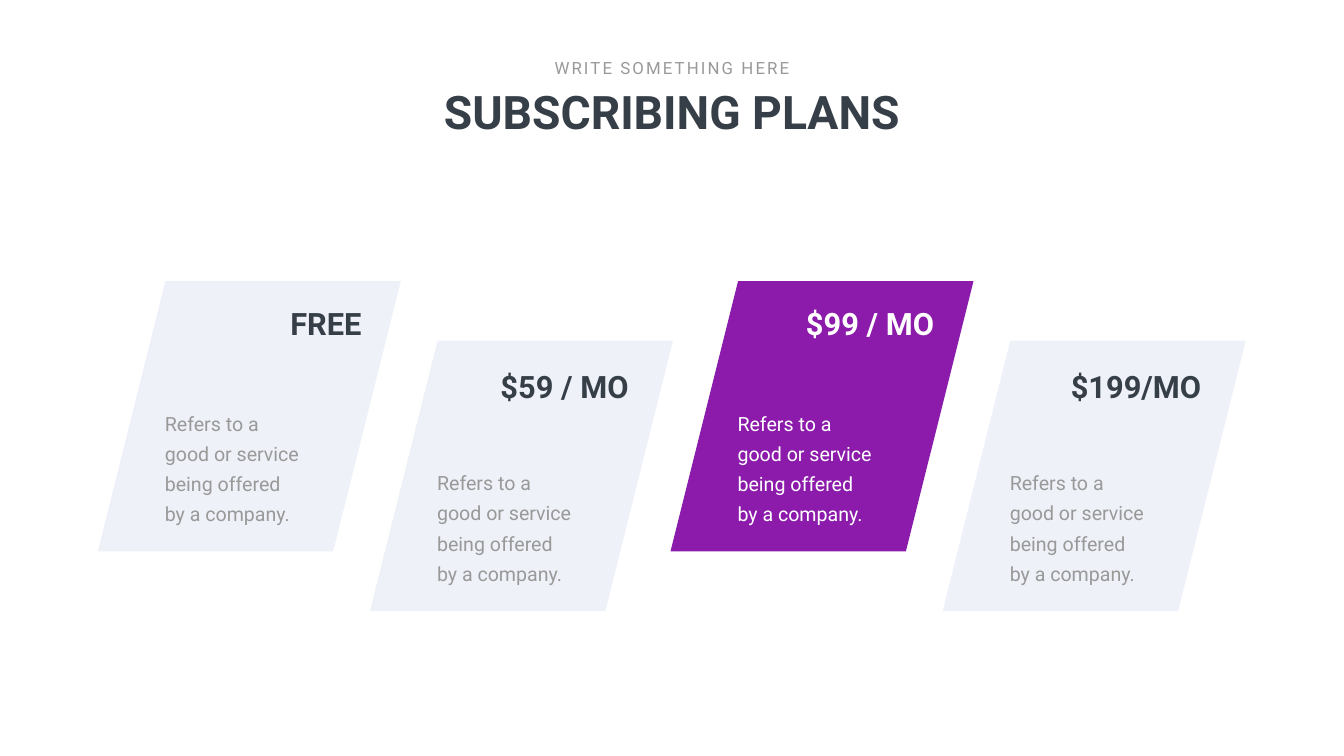
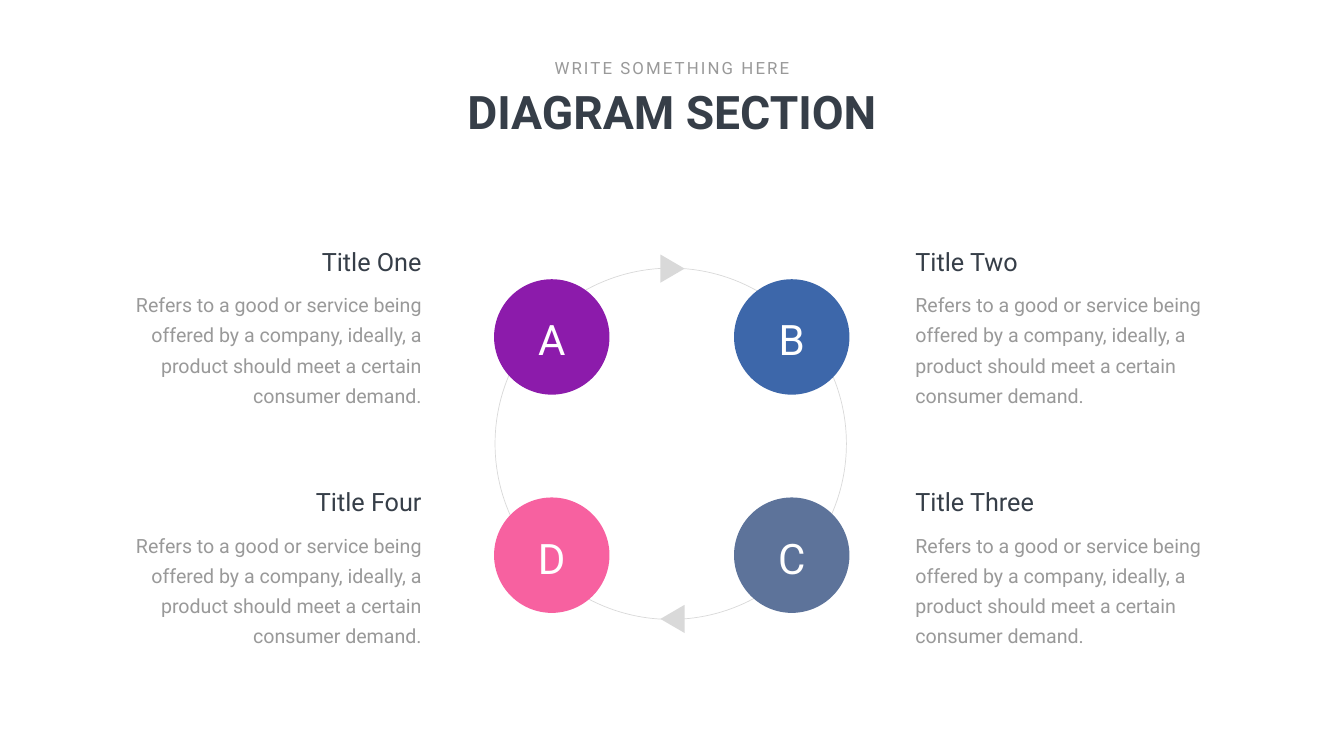
from pptx import Presentation
from pptx.dml.color import RGBColor
from pptx.enum.shapes import MSO_SHAPE as Shape
from pptx.enum.text import MSO_AUTO_SIZE as AutoSize, PP_ALIGN as Align
from pptx.util import Inches, Pt

FONT = "Roboto"
INK = RGBColor(0x36, 0x3E, 0x48)
GREY = RGBColor(0x99, 0x99, 0x99)
LINE_GREY = RGBColor(0xD9, 0xD9, 0xD9)
PALE = RGBColor(0xEF, 0xF1, 0xF8)
WHITE = RGBColor(0xFF, 0xFF, 0xFF)
PURPLE = RGBColor(0x8C, 0x1B, 0xAB)
BLUE = RGBColor(0x3D, 0x67, 0xAA)
SLATE = RGBColor(0x5D, 0x73, 0x9A)
PINK = RGBColor(0xF7, 0x61, 0xA0)

SLIDE_WIDTH, SLIDE_HEIGHT = 26.66, 15
BODY_SIZE, BODY_LEADING = 28, 43
DISC_SIZE = 2.29

PLAN_TEXT = "Refers to a good or service being offered by a company."
STEP_TEXT = ("Refers to a good or service being offered by a company, ideally, "
             "a product should meet a certain consumer demand.")


def add_text(slide, text, left, top, width, height, size, color,
             align=Align.LEFT, bold=False, leading=None, spacing=None,
             wrap=True, insets=(0.1, 0.05)):
    """Add a one-paragraph box; leading and letter spacing are in points."""
    box = slide.shapes.add_textbox(
        Inches(left), Inches(top), Inches(width), Inches(height))
    frame = box.text_frame
    frame.word_wrap = wrap
    frame.auto_size = AutoSize.SHAPE_TO_FIT_TEXT
    frame.margin_left = frame.margin_right = Inches(insets[0])
    frame.margin_top = frame.margin_bottom = Inches(insets[1])
    paragraph = frame.paragraphs[0]
    paragraph.text = text
    paragraph.alignment = align
    if leading:
        paragraph.line_spacing = Pt(leading)
    font = paragraph.runs[0].font
    font.name, font.size, font.bold = FONT, Pt(size), bold
    font.color.rgb = color
    if spacing:
        paragraph.runs[0]._r.get_or_add_rPr().set("spc", str(spacing * 100))


def add_figure(slide, kind, left, top, width, height, fill=None, outline=None,
               rotation=0):
    figure = slide.shapes.add_shape(
        kind, Inches(left), Inches(top), Inches(width), Inches(height))
    figure.shadow.inherit = False
    figure.rotation = rotation
    if fill is None:
        figure.fill.background()
    else:
        figure.fill.solid()
        figure.fill.fore_color.rgb = fill
    if outline is None:
        figure.line.fill.background()
    else:
        figure.line.color.rgb = outline
        figure.line.width = Pt(1)


def add_titled_slide(deck, title):
    slide = deck.slides.add_slide(deck.slide_layouts[6])
    slide.background.fill.solid()
    slide.background.fill.fore_color.rgb = WHITE
    add_text(slide, title, 7.61, 1.61, 11.44, 1.21, 66, INK,
             Align.CENTER, bold=True)
    add_text(slide, "WRITE SOMETHING HERE", 10.83, 1.1, 5, 0.5, 24, GREY,
             Align.CENTER, spacing=3, wrap=False)
    return slide


def add_plan(slide, price, left, top, price_left, price_top, featured):
    add_figure(slide, Shape.PARALLELOGRAM, left, top, 6.01, 5.36,
               fill=PURPLE if featured else PALE)
    add_text(slide, PLAN_TEXT, left + 1.09, top + 2.34, 3.15, 2.6, BODY_SIZE,
             WHITE if featured else GREY, leading=BODY_LEADING,
             insets=(0.24, 0.12))
    add_text(slide, price, price_left, price_top, 3.15, 0.84, 44,
             WHITE if featured else INK, Align.RIGHT, bold=True)


def add_disc(slide, letter, left, top, color):
    add_figure(slide, Shape.OVAL, left, top, DISC_SIZE, DISC_SIZE, fill=color)
    letter_width = 0.95
    add_text(slide, letter, left + (DISC_SIZE - letter_width) / 2, top + 0.64,
             letter_width, 1.01, 60, WHITE, Align.CENTER)


def add_step_text(slide, title, top, on_left):
    """Describe a step, its text aligned towards the ring."""
    title_width, body_width = 4.19, 6.02
    align = Align.RIGHT if on_left else Align.LEFT
    body_left = 2.44 if on_left else 18.06
    title_left = body_left + (body_width - title_width if on_left else 0)
    add_text(slide, STEP_TEXT, body_left, top + 0.81, body_width, 2.46,
             BODY_SIZE, GREY, align, leading=BODY_LEADING)
    add_text(slide, title, title_left, top, title_width, 0.71, 36, INK, align)


def build_plans(deck):
    slide = add_titled_slide(deck, "SUBSCRIBING PLANS")
    pair_step = 11.36
    for index, price in enumerate(["FREE", "$59 / MO", "$99 / MO", "$199/MO"]):
        pair, lowered = divmod(index, 2)
        shift = pair * pair_step
        add_plan(slide, price,
                 left=1.94 + shift + lowered * 5.4,
                 top=5.58 + lowered * 1.18,
                 price_left=4.12 + shift + lowered * 5.3,
                 price_top=5.99 + lowered * 1.25,
                 featured=price == "$99 / MO")


def build_cycle(deck):
    slide = add_titled_slide(deck, "DIAGRAM SECTION")
    add_figure(slide, Shape.OVAL, 9.82, 5.32, 6.97, 6.97, outline=LINE_GREY)
    steps = [
        ("A", "Title One", PURPLE, 0, 0),
        ("B", "Title Two", BLUE, 1, 0),
        ("C", "Title Three", SLATE, 1, 1),
        ("D", "Title Four", PINK, 0, 1),
    ]
    for letter, title, color, column, row in steps:
        add_disc(slide, letter, 9.8 + column * 4.76, 5.54 + row * 4.33, color)
        add_step_text(slide, title, 4.83 + row * 4.77, on_left=column == 0)
    for top, rotation in [(5.09, 90), (12.04, 270)]:
        add_figure(slide, Shape.ISOSCELES_TRIANGLE, 13.06, top, 0.56, 0.48,
                   fill=LINE_GREY, rotation=rotation)


def main():
    deck = Presentation()
    deck.slide_width = Inches(SLIDE_WIDTH)
    deck.slide_height = Inches(SLIDE_HEIGHT)
    build_plans(deck)
    build_cycle(deck)
    deck.save("out.pptx")


if __name__ == "__main__":
    main()
